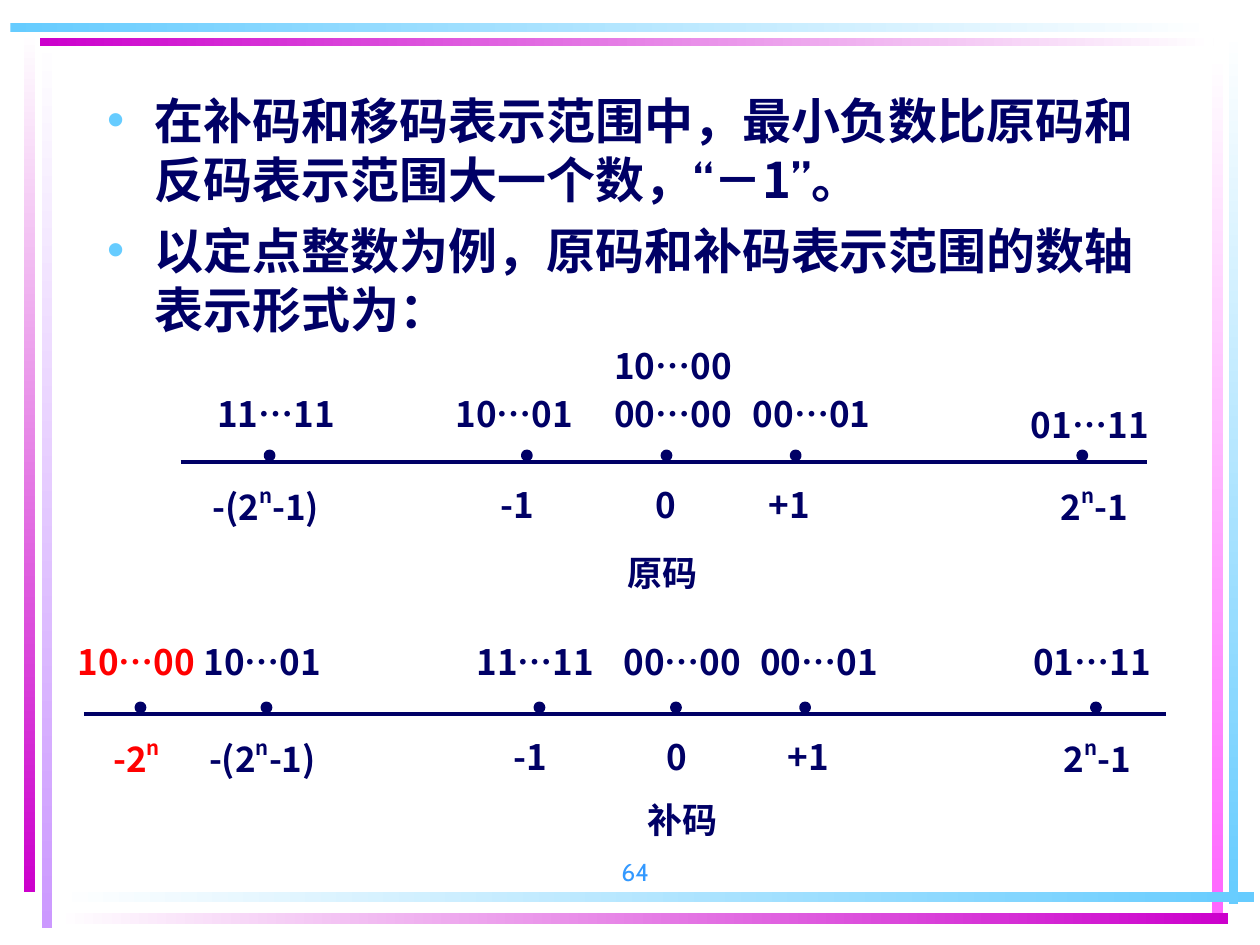
from dataclasses import dataclass

import pptx
import pptx.dml.color
import pptx.enum.shapes
import pptx.enum.text
import pptx.oxml.ns
import pptx.util
from lxml import etree

NAVY, RED, SKY, PURPLE = "000066", "FF0000", "66CCFF", "CC00CC"
LATIN, CJK = "Cabin", "Noto Sans CJK SC"
COLS, ROWS = 120, 90
ALIGN = pptx.enum.text.PP_ALIGN
SHAPE = pptx.enum.shapes.MSO_SHAPE

prs = pptx.Presentation()
prs.slide_width, prs.slide_height = pptx.util.Inches(10), pptx.util.Inches(7.5)
s = prs.slides.add_slide(prs.slide_layouts[1])


@dataclass
class Bar:
    x: float
    y: float
    w: float
    h: float
    start: str
    end: str


@dataclass
class Tick:
    dot: float
    code: str
    code_col: float
    value: str
    value_col: float
    value_width: float
    lift: float
    color: str = NAVY


@dataclass
class Axis:
    row: float
    start: float
    end: float
    caption: str
    caption_col: float
    caption_row: float
    ticks: list[Tick]


def col(n: float) -> int:
    return int(prs.slide_width * n / COLS)


def row(n: float) -> int:
    return int(prs.slide_height * n / ROWS)


def rgb(value: str) -> pptx.dml.color.RGBColor:
    return pptx.dml.color.RGBColor.from_string(value)


def add_run(p, text: str, size: float, font: str, color: str,
            bold: bool = True, baseline: int = 0) -> None:
    r = p.add_run()
    r.text = text
    r.font.size, r.font.bold, r.font.name = pptx.util.Pt(size), bold, font
    r.font.color.rgb = rgb(color)
    rPr = r._r.get_or_add_rPr()
    rPr.set("lang", "zh-CN")
    if baseline:
        rPr.set("baseline", str(baseline * 1000))
    etree.SubElement(rPr, pptx.oxml.ns.qn("a:ea"), typeface=font)


def add_bar(bar: Bar) -> None:
    sp = s.shapes.add_shape(SHAPE.RECTANGLE, col(bar.x), row(bar.y), col(bar.w), row(bar.h))
    sp.shadow.inherit = False
    sp.line.fill.background()
    sp.fill.gradient()
    sp.fill.gradient_angle = 0 if bar.w > bar.h else 270
    for stop, color, place in zip(sp.fill.gradient_stops, (bar.start, bar.end), (0, 1)):
        stop.color.rgb = rgb(color)
        stop.position = place


def add_label(text: str, x: float, y: float, w: float, color: str = NAVY) -> None:
    sp = s.shapes.add_textbox(col(x), row(y), col(w), row(4))
    tf = sp.text_frame
    tf.word_wrap = True
    tf.auto_size = pptx.enum.text.MSO_AUTO_SIZE.SHAPE_TO_FIT_TEXT
    tf.margin_left = tf.margin_right = tf.margin_top = tf.margin_bottom = 0
    p = tf.paragraphs[0]
    p.alignment = ALIGN.CENTER
    base, power, rest = text.partition("n")
    for part, baseline in ((base, 0), (power, 50), (rest, 0)):
        if part:
            add_run(p, part, 20, CJK, color, baseline=baseline)


def add_dot(x: float, y: float) -> None:
    sp = s.shapes.add_shape(SHAPE.FLOWCHART_CONNECTOR, col(x), row(y), col(0.75), row(0.75))
    sp.shadow.inherit = False
    sp.fill.solid()
    sp.fill.fore_color.rgb = rgb(NAVY)
    sp.line.color.rgb = rgb(NAVY)
    sp.line.width = pptx.util.Pt(2.25)


def add_axis(axis: Axis) -> None:
    line = s.shapes.add_connector(pptx.enum.shapes.MSO_CONNECTOR.STRAIGHT,
                                  col(axis.start), row(axis.row), col(axis.end), row(axis.row))
    line.line.color.rgb = rgb(NAVY)
    line.line.width = pptx.util.Pt(2.25)
    etree.SubElement(line._element.spPr, pptx.oxml.ns.qn("a:effectLst"))
    for t in axis.ticks:
        add_dot(t.dot, axis.row - 1)
        add_label(t.code, t.code_col, axis.row - t.lift, 12, t.color)
        add_label(t.value, t.value_col, axis.row + 2, t.value_width, t.color)
    add_label(axis.caption, axis.caption_col, axis.caption_row, 12)


def add_bullet(p, runs: list[tuple[str, str]], space: float) -> None:
    pPr = p._p.get_or_add_pPr()
    pPr.set("marL", str(pptx.util.Inches(0.38)))
    pPr.set("indent", str(pptx.util.Inches(-0.38)))
    buClr = etree.SubElement(pPr, pptx.oxml.ns.qn("a:buClr"))
    etree.SubElement(buClr, pptx.oxml.ns.qn("a:srgbClr"), val=SKY)
    etree.SubElement(pPr, pptx.oxml.ns.qn("a:buChar"), char="•")
    p.space_before = pptx.util.Pt(space)
    for text, font in runs:
        add_run(p, text, 28, font, NAVY)


BARS = [
    Bar(4, 3.4, 1, 85, "FFFFFF", "CC99FF"),
    Bar(2.3, 3, 1, 82, "FFFFFF", PURPLE),
    Bar(117.1, 2.9, 0.85, 83.2, "FFFFFF", SKY),
    Bar(115.4, 5, 1.1, 82, "FFFFFF", "FF66FF"),
    Bar(5.4, 84.95, 114, 1, "FFFFFF", SKY),
    Bar(5.4, 87, 111.6, 1, "FFFFFF", PURPLE),
    Bar(3.8, 3.65, 111.8, 0.75, PURPLE, "FFFFFF"),
    Bar(1, 2.2, 114.7, 0.85, SKY, "FFFFFF"),
]

BULLETS = [
    [("在补码和移码表示范围中，最小负数比原码和反码表示范围大一个数，“", LATIN),
     ("－1", CJK), ("”。", LATIN)],
    [("以定点整数为例，原码和补码表示范围的数轴表示形式为：", LATIN)],
]

AXES = [
    Axis(44, 17.2, 109.2, "原码", 57.1, 52.5, [
        Tick(25.3, "11…11", 20.3, "-(2n-1)", 19.3, 12, 6.6),
        Tick(49.8, "10…01", 43, "-1", 46.8, 5, 6.6),
        Tick(63.1, "00…00", 58.1, "0", 61.9, 3, 6.6),
        Tick(75.4, "00…01", 71.3, "+1", 73.2, 4, 6.6),
        Tick(102.7, "01…11", 97.8, "2n-1", 100.7, 7, 5.6),
    ]),
    Axis(68, 8, 111, "补码", 59, 76, [
        Tick(13, "10…00", 7, "-2n", 7, 12, 7, RED),
        Tick(25, "10…01", 19, "-(2n-1)", 19, 12, 7),
        Tick(51, "11…11", 45, "-1", 48, 5, 7),
        Tick(64, "00…00", 59, "0", 63, 3, 7),
        Tick(76.3, "00…01", 72, "+1", 75, 4, 7),
        Tick(104, "01…11", 98, "2n-1", 101, 7, 7),
    ]),
]

for bar in BARS:
    add_bar(bar)

title = s.shapes.title._element
title.getparent().remove(title)
body = s.placeholders[1]
body.left, body.top, body.width, body.height = col(9), row(8), col(102), row(25)
tf = body.text_frame
for i, runs in enumerate(BULLETS):
    p = tf.add_paragraph() if i else tf.paragraphs[0]
    add_bullet(p, runs, 7 if i else 0)

for axis in AXES:
    add_axis(axis)
add_label("10…00", 58.1, 32.8, 12)

number = s.shapes.add_textbox(col(38), row(79), col(25), row(6))
tf = number.text_frame
tf.word_wrap = True
tf.vertical_anchor = pptx.enum.text.MSO_ANCHOR.BOTTOM
p = tf.paragraphs[0]
p.alignment = ALIGN.RIGHT
add_run(p, "64", 14, LATIN, "3399FF", bold=False)

prs.save("out.pptx")
